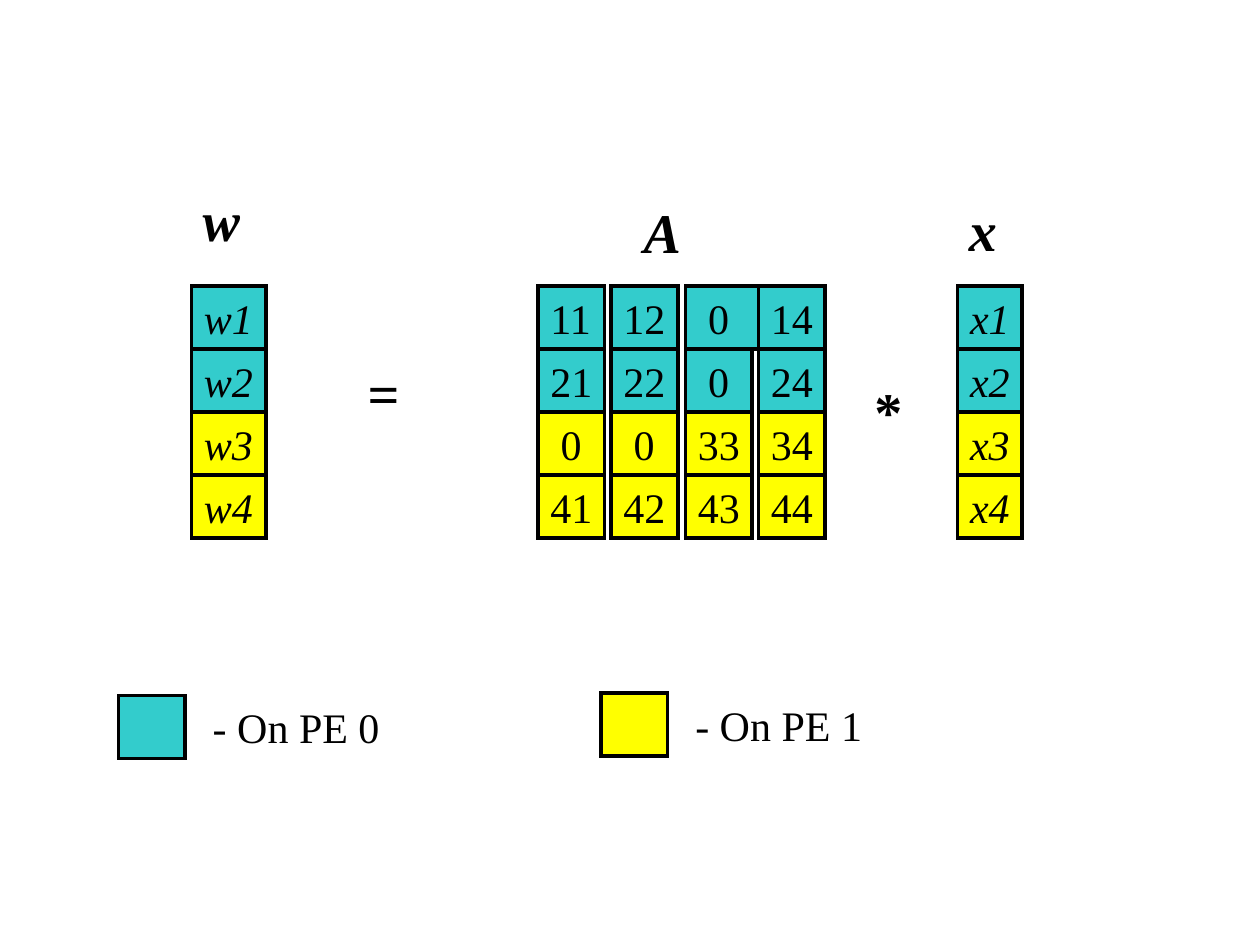
"""Build a slide showing a matrix-vector product split over two PEs."""
from lxml.etree import SubElement as Sub
from pptx import Presentation
from pptx.dml.color import RGBColor as Rgb
from pptx.enum.shapes import MSO_SHAPE as Shape
from pptx.enum.text import MSO_ANCHOR as Anchor, PP_ALIGN as Align
from pptx.oxml.ns import qn
from pptx.util import Inches, Pt

TEAL, GOLD, BLACK = "33CCCC", "FFFF00", "000000"
ROW, TOP, CELL = 0.5, 2.27, 0.53


def write(shape, text, size=24, bold=False, slant=False, inset=0.1):
    frame = shape.text_frame
    frame.text = text
    frame.word_wrap = False
    frame.vertical_anchor = Anchor.TOP
    frame.margin_left = Inches(inset)
    line = frame.paragraphs[0]
    line.alignment = Align.LEFT
    font = line.runs[0].font
    font.name, font.size = "Times New Roman", Pt(size)
    font.bold, font.italic = bold, slant
    font.color.rgb = Rgb.from_string(BLACK)


def block(left, top, width, fill):
    box = slide.shapes.add_shape(
        Shape.RECTANGLE, Inches(left), Inches(top), Inches(width), Inches(ROW))
    box.shadow.inherit = False
    box.fill.solid()
    box.fill.fore_color.rgb = Rgb.from_string(fill)
    box.line.color.rgb = Rgb.from_string(BLACK)
    box.line.width = Pt(2)
    Sub(box.element.spPr.find(qn("a:ln")), qn("a:miter"), lim="800000")
    return box


deck = Presentation()
deck.slide_width, deck.slide_height = Inches(10), Inches(7.5)
slide = deck.slides.add_slide(deck.slide_layouts[6])

fills = [TEAL, TEAL, GOLD, GOLD]
matrix = [
    ["11", "12", "0", "14"],
    ["21", "22", "0", "24"],
    ["0", "0", "33", "34"],
    ["41", "42", "43", "44"],
]
lefts = [4.27, 4.85, 5.44, 6.02]
for row, values in enumerate(matrix):
    for col, value in enumerate(values):
        width = 0.61 if (row, col) == (0, 2) else CELL
        cell = block(lefts[col], TOP + row * ROW, width, fills[row])
        write(cell, value, inset=0.18 if value == "0" else 0.1)

for name, left, width in [("x", 7.6, 0.51), ("w", 1.52, 0.59)]:
    for row, fill in enumerate(fills):
        cell = block(left, TOP + row * ROW, width, fill)
        write(cell, f"{name}{row + 1}", slant=True)

signs = [
    ("=", 2.82, 2.8, 0.45),
    ("*", 6.84, 2.94, 0.42),
    ("w", 1.51, 1.42, 0.49),
    ("A", 5.01, 1.52, 0.49),
    ("x", 7.59, 1.5, 0.42),
]
for text, left, top, width in signs:
    sign = slide.shapes.add_textbox(
        Inches(left), Inches(top), Inches(width), Inches(0.64))
    write(sign, text, 32, bold=True, slant=text.isalpha())

keys = [("- On PE 0", 0.94, 5.52, TEAL), ("- On PE 1", 4.77, 5.5, GOLD)]
for text, left, top, fill in keys:
    block(left, top, CELL, fill)
    label = slide.shapes.add_textbox(
        Inches(left + 0.65), Inches(top), Inches(1.6), Inches(ROW))
    write(label, text)

deck.save("out.pptx")
